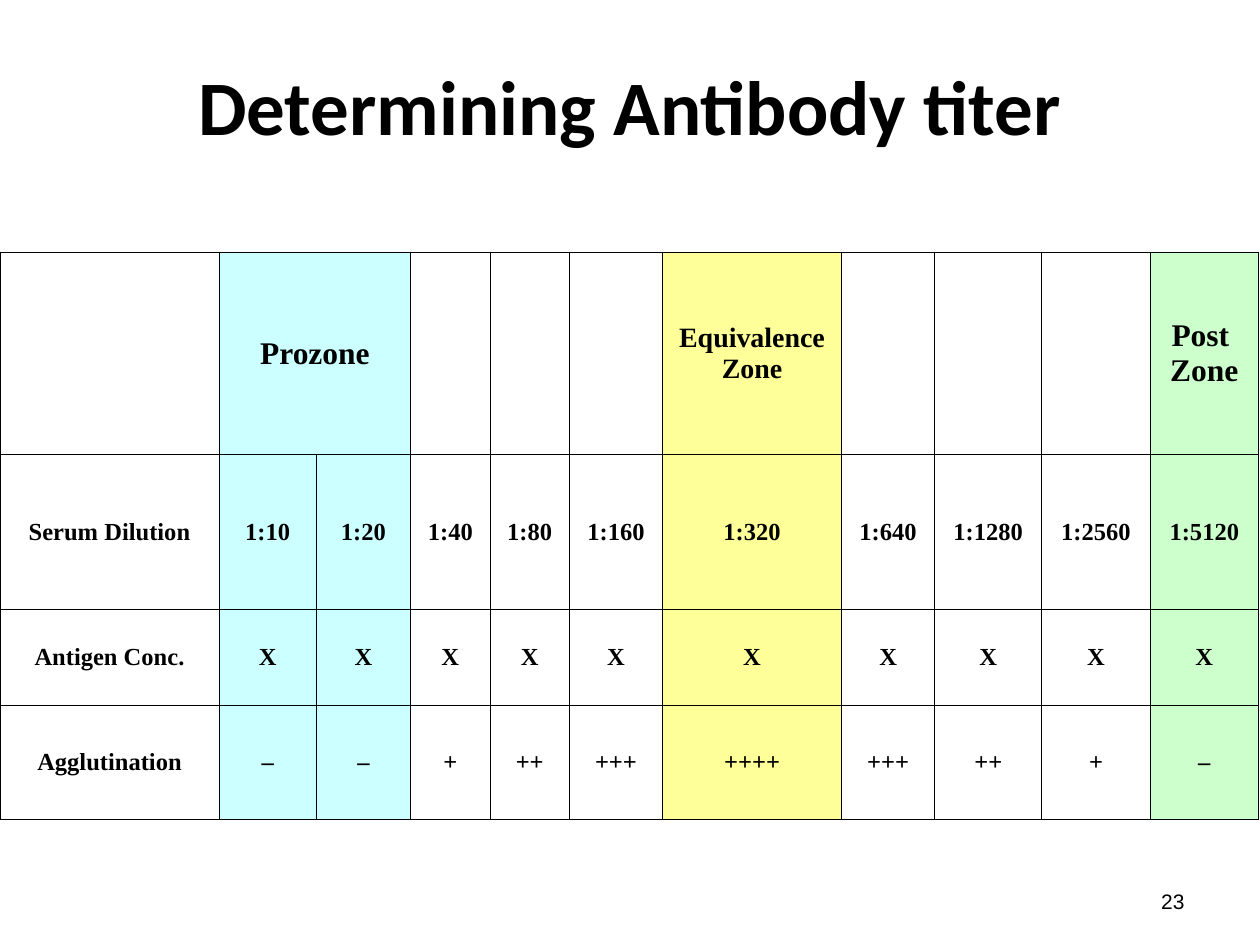
import pptx
import pptx.util
import pptx.dml.color
import pptx.enum.text
import pptx.oxml.ns
import lxml.etree
from dataclasses import dataclass

Inches = pptx.util.Inches
Pt = pptx.util.Pt
Align = pptx.enum.text.PP_ALIGN
Anchor = pptx.enum.text.MSO_ANCHOR


@dataclass(frozen=True)
class Theme:
    ink: str = "000000"
    pro: str = "CCFFFF"
    equal: str = "FFFF99"
    post: str = "CCFFCC"
    head: str = "Calibri"
    body: str = "Times New Roman"
    foot: str = "Arial"
    title: int = 44
    zone: int = 18
    mid: int = 16
    cell: int = 14
    page: int = 12
    rule: float = 0.45


THEME = Theme()
WIDTHS = [1.74, 0.77, 0.75, 0.63, 0.63, 0.74, 1.42, 0.74, 0.85, 0.86, 0.86]
HEIGHTS = [1.61, 1.23, 0.76, 0.9]
TINTS = {1: THEME.pro, 2: THEME.pro, 6: THEME.equal, 10: THEME.post}
ZONES = {1: ("Prozone", THEME.zone), 6: ("Equivalence Zone", THEME.mid),
         10: ("Post \nZone", THEME.zone)}
STEPS = len(WIDTHS) - 1
SIGNS = ["–", "–", "+", "++", "+++", "++++", "+++", "++", "+", "–"]
ROWS = [
    ["Serum Dilution"] + [f"1:{10 * 2 ** step}" for step in range(STEPS)],
    ["Antigen Conc."] + ["X"] * STEPS,
    ["Agglutination"] + SIGNS,
]


def color(code):
    return pptx.dml.color.RGBColor.from_string(code)


def write(frame, text, face, size, bold, align):
    frame.text = text
    for para in frame.paragraphs:
        para.alignment = align
        font = para.font
        font.name, font.size, font.bold = face, Pt(size), bold
        font.color.rgb = color(THEME.ink)


def label(slide, box, text, face, size, bold, align):
    frame = slide.shapes.add_textbox(*map(Inches, box)).text_frame
    frame.word_wrap = True
    frame.vertical_anchor = Anchor.MIDDLE
    write(frame, text, face, size, bold, align)


def border(cell):
    props = cell._tc.get_or_add_tcPr()
    qn = pptx.oxml.ns.qn
    for side in "LRTB":
        line = lxml.etree.SubElement(props, qn(f"a:ln{side}"), w=str(Pt(THEME.rule)))
        fill = lxml.etree.SubElement(line, qn("a:solidFill"))
        lxml.etree.SubElement(fill, qn("a:srgbClr"), val=THEME.ink)


def style(cell, text, size, tint):
    border(cell)
    if tint:
        cell.fill.solid()
        cell.fill.fore_color.rgb = color(tint)
    else:
        cell.fill.background()
    cell.vertical_anchor = Anchor.MIDDLE
    cell.margin_left = cell.margin_right = Inches(0.1)
    cell.margin_top = cell.margin_bottom = Inches(0.05)
    write(cell.text_frame, text, THEME.body, size, True, Align.CENTER)


def grid(slide, box):
    table = slide.shapes.add_table(len(HEIGHTS), len(WIDTHS), *map(Inches, box)).table
    table.first_row = table.horz_banding = False
    for col, width in zip(table.columns, WIDTHS):
        col.width = Inches(width)
    for row, height in zip(table.rows, HEIGHTS):
        row.height = Inches(height)
    for col in range(len(WIDTHS)):
        text, size = ZONES.get(col, ("", THEME.cell))
        style(table.cell(0, col), text, size, TINTS.get(col))
        for row, words in enumerate(ROWS, 1):
            style(table.cell(row, col), words[col], THEME.cell, TINTS.get(col))
    table.cell(0, 1).merge(table.cell(0, 2))


def main():
    deck = pptx.Presentation()
    deck.slide_width, deck.slide_height = Inches(10), Inches(7.5)
    slide = deck.slides.add_slide(deck.slide_layouts[6])
    label(slide, (0, 0.42, 10, 0.83), "Determining Antibody titer",
          THEME.head, THEME.title, True, Align.CENTER)
    grid(slide, (0, 2, 10, 4.5))
    label(slide, (7.17, 6.95, 2.33, 0.4), "23",
          THEME.foot, THEME.page, False, Align.RIGHT)
    deck.save("out.pptx")


if __name__ == "__main__":
    main()
